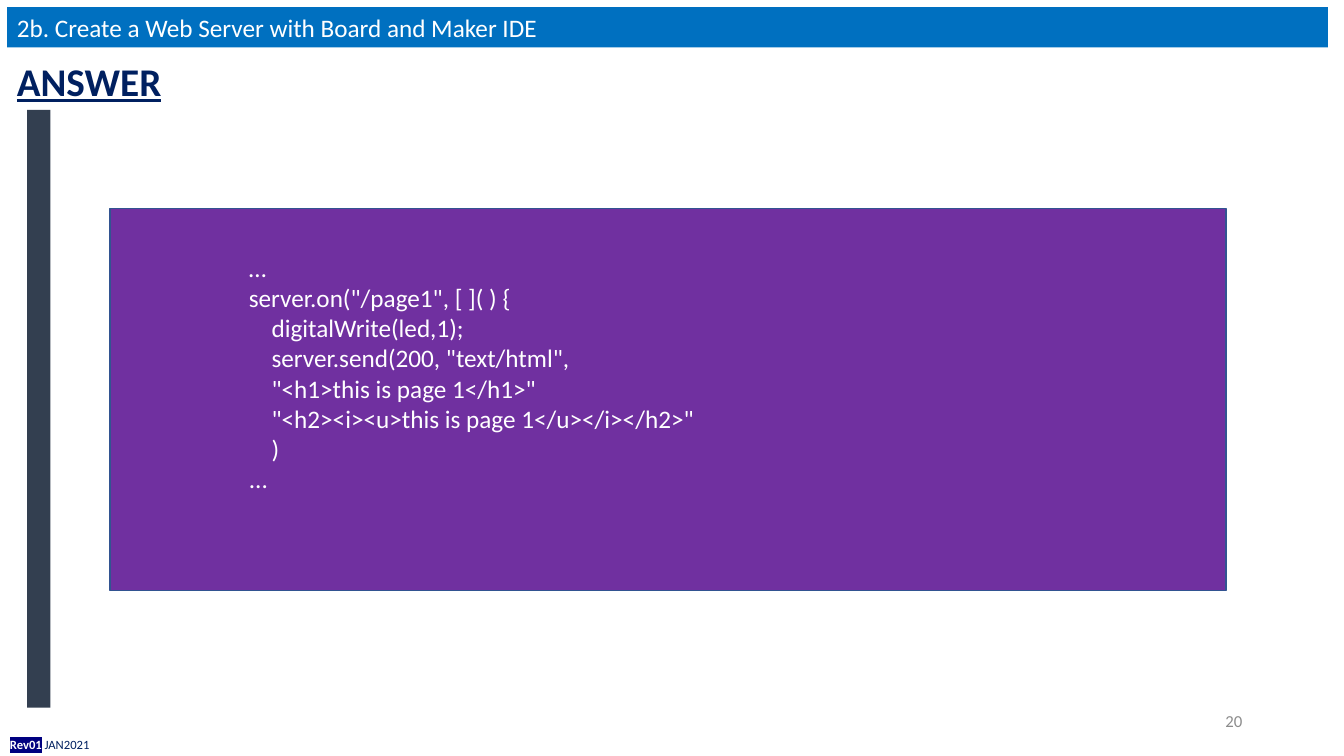
from lxml.etree import SubElement
from pptx import Presentation
from pptx.dml.color import RGBColor
from pptx.enum.shapes import MSO_SHAPE as Shape
from pptx.enum.text import MSO_ANCHOR as Anchor, PP_ALIGN as Align
from pptx.oxml.ns import qn
from pptx.util import Inches, Pt

WHITE, NAVY = "FFFFFF", "002060"
CODE = """…
server.on("/page1", [ ]( ) {
    digitalWrite(led,1);
    server.send(200, "text/html",
    "<h1>this is page 1</h1>"
    "<h2><i><u>this is page 1</u></i></h2>"
    )
..."""


def color(value):
    """Turn a hex string into a colour."""
    return RGBColor.from_string(value)


def style(span, size, ink, bold=False, underline=False):
    """Format one run."""
    font = span.font
    font.name, font.size = "Calibri", Pt(size)
    font.bold, font.underline = bold, underline
    font.color.rgb = color(ink)


def highlight(span, value):
    """Put a marker colour behind a run."""
    properties = span.font._element
    marker = SubElement(properties, qn("a:highlight"))
    SubElement(marker, qn("a:srgbClr"), val=value)
    properties.find(qn("a:solidFill")).addnext(marker)


def write(box, text, size, ink, align=Align.LEFT, anchor=Anchor.TOP, wrap=True, **looks):
    """Fill a shape or text box with evenly formatted text."""
    frame = box.text_frame
    frame.text = text
    frame.word_wrap, frame.vertical_anchor = wrap, anchor
    for para in frame.paragraphs:
        para.alignment = align
        for span in para.runs:
            style(span, size, ink, **looks)


def add_text(page, left, top, width, height, *content, **looks):
    """Add a text box with its text."""
    box = page.shapes.add_textbox(Inches(left), Inches(top), Inches(width), Inches(height))
    write(box, *content, **looks)
    return box


def add_panel(page, left, top, width, height, fill, line=None):
    """Add a flat rectangle."""
    panel = page.shapes.add_shape(
        Shape.RECTANGLE, Inches(left), Inches(top), Inches(width), Inches(height))
    panel.shadow.inherit = False
    panel.fill.solid()
    panel.fill.fore_color.rgb = color(fill)
    if line:
        panel.line.color.rgb = color(line)
        panel.line.width = Pt(1)
    else:
        panel.line.fill.background()
    return panel


def add_header(page, left, top, width):
    """Add the topic bar and the heading under it."""
    bar = add_panel(page, left, top, width, 0.4, "0070C0")
    write(bar, "2b. Create a Web Server with Board and Maker IDE", 18, WHITE)
    add_text(page, left, top + 0.45, 1.65, 0.57, "ANSWER", 28, NAVY,
             wrap=False, bold=True, underline=True)


def add_code(page, left, top, width, height):
    """Add the code panel with its listing."""
    add_panel(page, left, top, width, height, "7030A0", "325491")
    add_text(page, left + 1.28, top + 0.38, width - 4.4, height - 1.27, CODE, 18, WHITE)


def add_footer(page, left, top, width):
    """Add the page number and the revision mark."""
    add_text(page, left + 9.42, top, 3, 0.4, "20", 12, "8C8C8C",
             align=Align.RIGHT, anchor=Anchor.MIDDLE)
    box = add_text(page, left, top + 0.31, width, 0.24, "Rev01", 9, WHITE, bold=True)
    para = box.text_frame.paragraphs[0]
    highlight(para.runs[0], "000080")
    date = para.add_run()
    date.text = " JAN2021"
    style(date, 9, NAVY)


def main():
    """Build the slide and save the deck."""
    deck = Presentation()
    deck.slide_width, deck.slide_height = Inches(13.33), Inches(7.5)
    page = deck.slides.add_slide(deck.slide_layouts[6])
    add_header(page, 0.07, 0.07, 13.1)
    add_panel(page, 0.27, 1.09, 0.23, 5.93, "333F50")
    add_code(page, 1.09, 2.07, 11.07, 3.79)
    add_footer(page, 0, 6.95, 13.33)
    deck.save("out.pptx")


if __name__ == "__main__":
    main()
